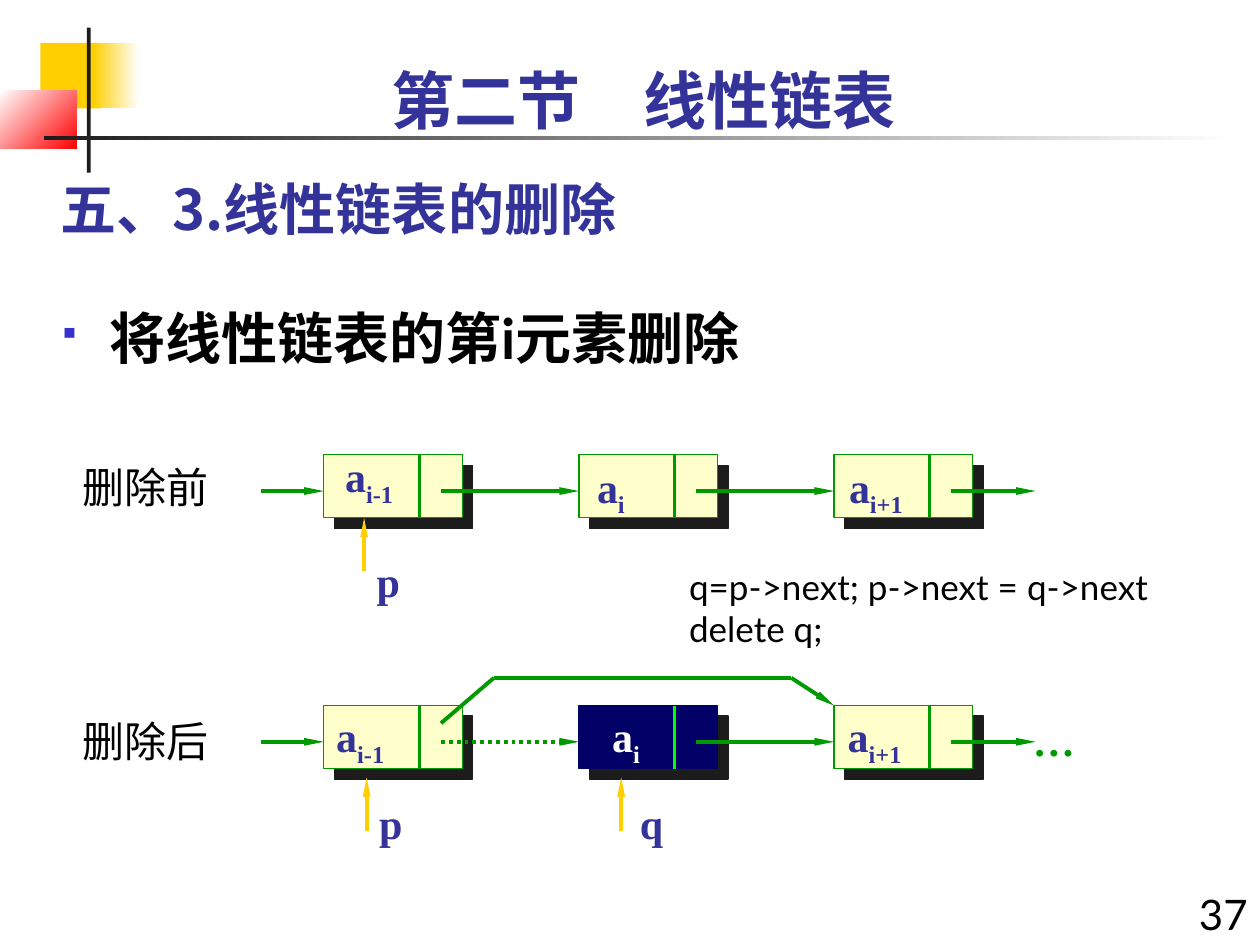
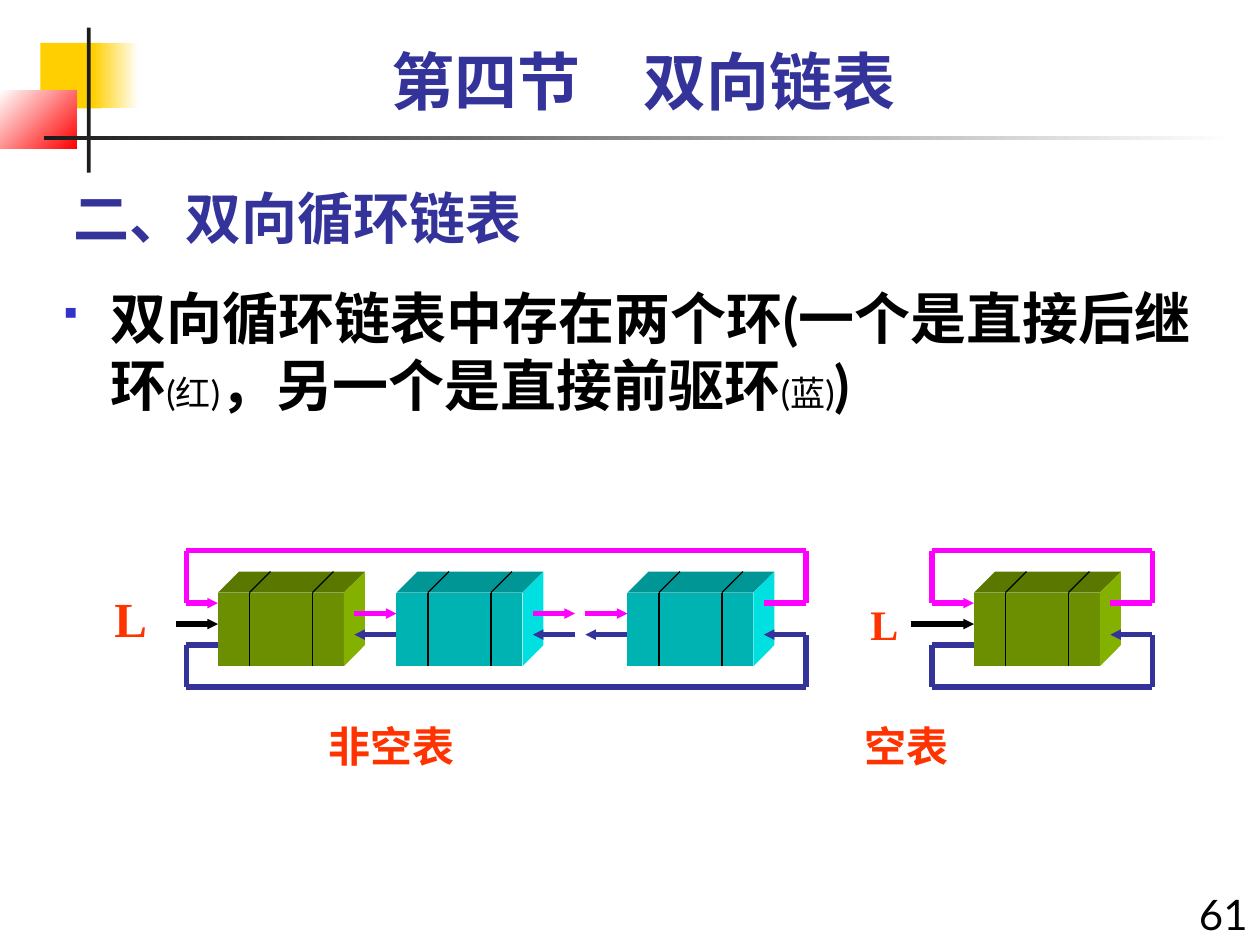
from dataclasses import dataclass

from pptx import Presentation
from pptx import util as u
from pptx.dml.color import RGBColor
from pptx.enum import dml, shapes, text
from pptx.oxml import ns, parse_xml


@dataclass(frozen=True)
class Theme:
    indigo: str = "333399"
    black: str = "000000"
    white: str = "FFFFFF"
    ink: str = "1C1C1C"
    gold: str = "FFCF01"
    red: str = "FF0000"
    green: str = "009900"
    lime: str = "00FF00"
    cream: str = "FFFFCC"
    navy: str = "000066"
    bullet: str = "3333CC"
    orange: str = "FF3300"
    magenta: str = "FF00FF"
    olive: tuple = ("6B8F00", "5A7800", "84B000")
    cyan: tuple = ("00B3B3", "009696", "00E0E0")
    sans: str = "Lato"
    cjk: str = "Noto Sans CJK SC"
    serif: str = "Times New Roman"
    chapter: int = 36
    heading: int = 32
    big: int = 28
    label: int = 24
    small: int = 20


theme = Theme()
RECT = shapes.MSO_SHAPE.RECTANGLE
LEFT, CENTER, RIGHT = text.PP_ALIGN.LEFT, text.PP_ALIGN.CENTER, text.PP_ALIGN.RIGHT

deck = Presentation()
deck.slide_width, deck.slide_height = u.Inches(10), u.Inches(7.5)
COLUMNS = 120
cell = deck.slide_width / COLUMNS


def write(page, spans, at, box=None, font=theme.sans, size=theme.label, color=theme.black,
          bold=False, align=LEFT, anchor=text.MSO_ANCHOR.TOP, wrap=True, bullet=False):
    place = [round(value * cell) for value in at]
    if box is None:
        box = page.shapes.add_textbox(*place)
    box.left, box.top, box.width, box.height = place
    frame = box.text_frame
    frame.word_wrap = wrap
    frame.auto_size = text.MSO_AUTO_SIZE.NONE
    frame.vertical_anchor = anchor
    para = frame.paragraphs[0]
    para.alignment = align
    if bullet:
        props = para._p.get_or_add_pPr()
        props.set("marL", "342900")
        props.set("indent", "-342900")
        for mark in (f'<a:buClr {ns.nsdecls("a")}><a:srgbClr val="{theme.bullet}"/></a:buClr>',
                     f'<a:buSzPct {ns.nsdecls("a")} val="60000"/>',
                     f'<a:buFont {ns.nsdecls("a")} typeface="Wingdings"/>',
                     f'<a:buChar {ns.nsdecls("a")} char="§"/>'):
            props.append(parse_xml(mark))
    for words, change in [(spans, {})] if isinstance(spans, str) else spans:
        span = para.add_run()
        span.text = words
        span.font.name = font
        span.font.size = u.Pt(change.get("size", size))
        span.font.bold = change.get("bold", bold)
        span.font.color.rgb = RGBColor.from_string(color)
        props = span._r.get_or_add_rPr()
        props.find(ns.qn("a:latin")).addnext(
            parse_xml(f'<a:ea {ns.nsdecls("a")} typeface="{font}"/>'))
        if "base" in change:
            props.set("baseline", str(change["base"] * 1000))
    return box


def link(page, points, color, width=2.25, arrow=None, dash=None):
    for start, end in zip(points, points[1:]):
        line = page.shapes.add_connector(
            shapes.MSO_CONNECTOR.STRAIGHT, *[round(value * cell) for value in (*start, *end)])
        line.line.color.rgb = RGBColor.from_string(color)
        line.line.width = u.Pt(width)
        if dash:
            line.line.dash_style = dash
        props = line.element.spPr
        if arrow and end == points[-1]:
            props.find(ns.qn("a:ln")).append(parse_xml(
                f'<a:tailEnd {ns.nsdecls("a")} type="triangle" w="sm" len="{arrow}"/>'))
        props.append(parse_xml(f'<a:effectLst {ns.nsdecls("a")}/>'))


layout = deck.slide_layouts[1]
deletion, ring = [deck.slides.add_slide(layout) for _ in range(2)]

bands = [
    ((3.84, 4.08, 5.76, 6.24), [theme.gold], 0),
    ((8.88, 4.08, 4.32, 6.24), [theme.gold, theme.white], 0),
    ((0, 8.64, 7.32, 5.52), [theme.white, theme.red], 315),
    ((8.28, 2.64, 0.36, 13.8), [theme.ink], 0),
    ((4.2, 12.96, 113.4, 0.36), [theme.ink, theme.white], 0),
]
for index, (at, colors, angle) in enumerate(bands):
    band = deletion.shapes.add_shape(RECT, *[round(value * cell) for value in at])
    band.shadow.inherit = False
    band.line.fill.background()
    if len(colors) == 1:
        band.fill.solid()
        band.fill.fore_color.rgb = RGBColor.from_string(colors[0])
    else:
        band.fill.gradient()
        band.fill.gradient_angle = angle
        for stop, color in zip(band.fill.gradient_stops, colors):
            stop.color.rgb = RGBColor.from_string(color)
    band.element.nvSpPr.cNvPr.set("id", str(20 + index))
    layout.shapes.element.insert(2 + index, band.element)

aside = {"size": theme.small, "bold": False}
pages = [
    (deletion, "第二节\u3000线性链表".replace("\u3000", "　"), 5.28, "五、3.线性链表的删除", (4.56, 14.64),
     "将线性链表的第i元素删除", (4.68, 28.32, 114.96, 18.96), "37"),
    (ring, "第四节　双向链表", 3.48, "二、双向循环链表", (5.76, 15.48),
     [("双向循环链表中存在两个环(一个是直接后继环", {}), ("(红)", aside),
      ("，另一个是直接前驱环", {}), ("(蓝)", aside), (")", {})],
     (4.8, 26.4, 114.96, 14.04), "61"),
]
for page, chapter, chapter_top, heading, heading_at, body, body_at, number in pages:
    write(page, heading, (*heading_at, 75, 9), page.shapes.title, font=theme.cjk,
          size=theme.heading, color=theme.indigo, bold=True, anchor=text.MSO_ANCHOR.BOTTOM)
    write(page, body, body_at, page.placeholders[1], size=theme.heading, bold=True, bullet=True)
    write(page, number, (112, 84, 8, 6), align=RIGHT)
    write(page, chapter, (5.76, chapter_top, 111, 8.4), size=theme.chapter,
          color=theme.indigo, bold=True, align=CENTER)

NODE_LEFT, NODE_STEP, NODE_WIDTH, NODE_HEIGHT = 30.84, 24.3, 13.2, 6
DIVIDER, POINTER, ARROW_DROP = 9.1, 11.16, 3.45
node_lefts = [NODE_LEFT + NODE_STEP * k for k in range(3)]
for top, removed in ((43.32, False), (67.2, True)):
    middle = top + ARROW_DROP
    link(deletion, [(NODE_LEFT - 6, middle), (NODE_LEFT, middle)], theme.green, arrow="lg")
    for k, left in enumerate(node_lefts):
        dark = removed and k == 1
        node = deletion.shapes.add_shape(
            RECT, *[round(value * cell) for value in (left, top, NODE_WIDTH, NODE_HEIGHT)])
        node.fill.solid()
        node.fill.fore_color.rgb = RGBColor.from_string(theme.navy if dark else theme.cream)
        node.line.color.rgb = RGBColor.from_string(theme.navy if dark else theme.green)
        node.line.width = u.Pt(0.75)
        node.shadow.inherit = False
        node.element.spPr.find(ns.qn("a:effectLst")).append(parse_xml(
            f'<a:outerShdw {ns.nsdecls("a")} dist="107950" dir="2700000" algn="ctr" '
            f'rotWithShape="0"><a:srgbClr val="{theme.ink}"/></a:outerShdw>'))
        link(deletion, [(left + DIVIDER, top), (left + DIVIDER, top + NODE_HEIGHT)],
             theme.lime if dark else theme.green, 1.5)
    for k, left in enumerate(node_lefts):
        end = left + NODE_STEP if k < 2 else 98.64
        link(deletion, [(left + POINTER, middle), (end, middle)], theme.green, arrow="lg",
             dash=dml.MSO_LINE.ROUND_DOT if removed and k == 0 else None)

link(deletion, [(42, 68.88), (47.04, 64.56), (75.36, 64.56), (79.44, 67.2)],
     theme.green, arrow="lg")
for x, tip in ((34.68, 49.32), (34.92, 74.04), (59.16, 74.04)):
    link(deletion, [(x, tip + 5.1), (x, tip)], theme.gold, arrow="lg")

marks = [
    ("a", "i-1", 31.68, 42.36, 7.44, theme.indigo), ("a", "i", 55.68, 43.32, 5.16, theme.indigo),
    ("a", "i+1", 79.68, 43.32, 8.04, theme.indigo), ("p", "", 34.68, 52.32, 4.68, theme.indigo),
    ("a", "i-1", 30.84, 67.08, 7.44, theme.indigo), ("a", "i", 57.12, 67.08, 5.16, theme.white),
    ("a", "i+1", 79.56, 67.08, 8.04, theme.indigo), ("p", "", 34.92, 75.36, 4.68, theme.indigo),
    ("q", "", 59.76, 75.36, 4.68, theme.indigo), ("…", "", 97.2, 67.44, 6.36, theme.green),
]
for letter, index, left, top, width, color in marks:
    spans = [(letter, {})] + ([(index, {"base": -25})] if index else [])
    write(deletion, spans, (left, top, width, 6), font=theme.serif, color=color,
          bold=True, wrap=False)
write(deletion, "删除前", (6.72, 43.32, 20, 6))
write(deletion, "删除后", (6.72, 67.56, 15, 6))
write(deletion, "q=p->next; p->next = q->next delete q;", (64.44, 53.28, 51, 9.24),
      size=theme.small)

X, Y = 17.76, 52.44
BLOCK_WIDTH, BLOCK_TOP, BLOCK_BOTTOM, DEPTH = 12, 4, 11, 2
for left, shades in ((3, theme.olive), (20, theme.cyan), (42, theme.cyan), (75, theme.olive)):
    right = left + BLOCK_WIDTH
    back = BLOCK_TOP - DEPTH
    front = [(left, BLOCK_TOP), (right, BLOCK_TOP), (right, BLOCK_BOTTOM), (left, BLOCK_BOTTOM)]
    lid = [(left, BLOCK_TOP), (left + DEPTH, back), (right + DEPTH, back), (right, BLOCK_TOP)]
    side = [(right, BLOCK_TOP), (right + DEPTH, back), (right + DEPTH, BLOCK_BOTTOM - DEPTH),
            (right, BLOCK_BOTTOM)]
    for corners, shade in zip((front, lid, side), shades):
        outline = [(round((X + x) * cell), round((Y + y) * cell)) for x, y in corners]
        builder = ring.shapes.build_freeform(*outline[0])
        face = builder.add_line_segments(outline[1:], close=True).convert_to_shape()
        face.fill.solid()
        face.fill.fore_color.rgb = RGBColor.from_string(shade)
        face.line.fill.background()
        face.shadow.inherit = False
    for x in (X + left + 3, X + left + 9):
        link(ring, [(x, Y + BLOCK_BOTTOM), (x, Y + BLOCK_TOP), (x + DEPTH, Y + back)],
             theme.black, 0.75)

routes = []
for left, entry, leave, right in ((0, 3, 55, 59), (71, 75, 88, 92)):
    routes.append((theme.magenta, [(leave, 5), (right, 5), (right, 0), (left, 0),
                                   (left, 5), (entry, 5)]))
    routes.append((theme.indigo, [(entry, 9), (left, 9), (left, 13), (right, 13),
                                  (right, 8), (leave, 8)]))
for start in (16, 33, 38):
    routes.append((theme.magenta, [(start, 6), (start + 4, 6)]))
    routes.append((theme.indigo, [(start + 4, 8), (start, 8)]))
for start, end in ((-1, 3), (69, 75)):
    routes.append((theme.black, [(start, 7), (end, 7)]))
for color, points in routes:
    link(ring, [(X + x, Y + y) for x, y in points], color, 3, arrow="sm")

for words, at, font, size in (
        ("L", (9.72, 55.44, 5.52, 6.84), theme.serif, theme.big),
        ("L", (81.72, 56.4, 5.04, 6), theme.serif, theme.label),
        ("非空表", (30.12, 68.04, 14.4, 6.36), theme.cjk, theme.label),
        ("空表", (81.12, 68.04, 10.4, 6.36), theme.cjk, theme.label)):
    write(ring, words, at, font=font, size=size, color=theme.orange, bold=True, wrap=False)

deck.save("out.pptx")
